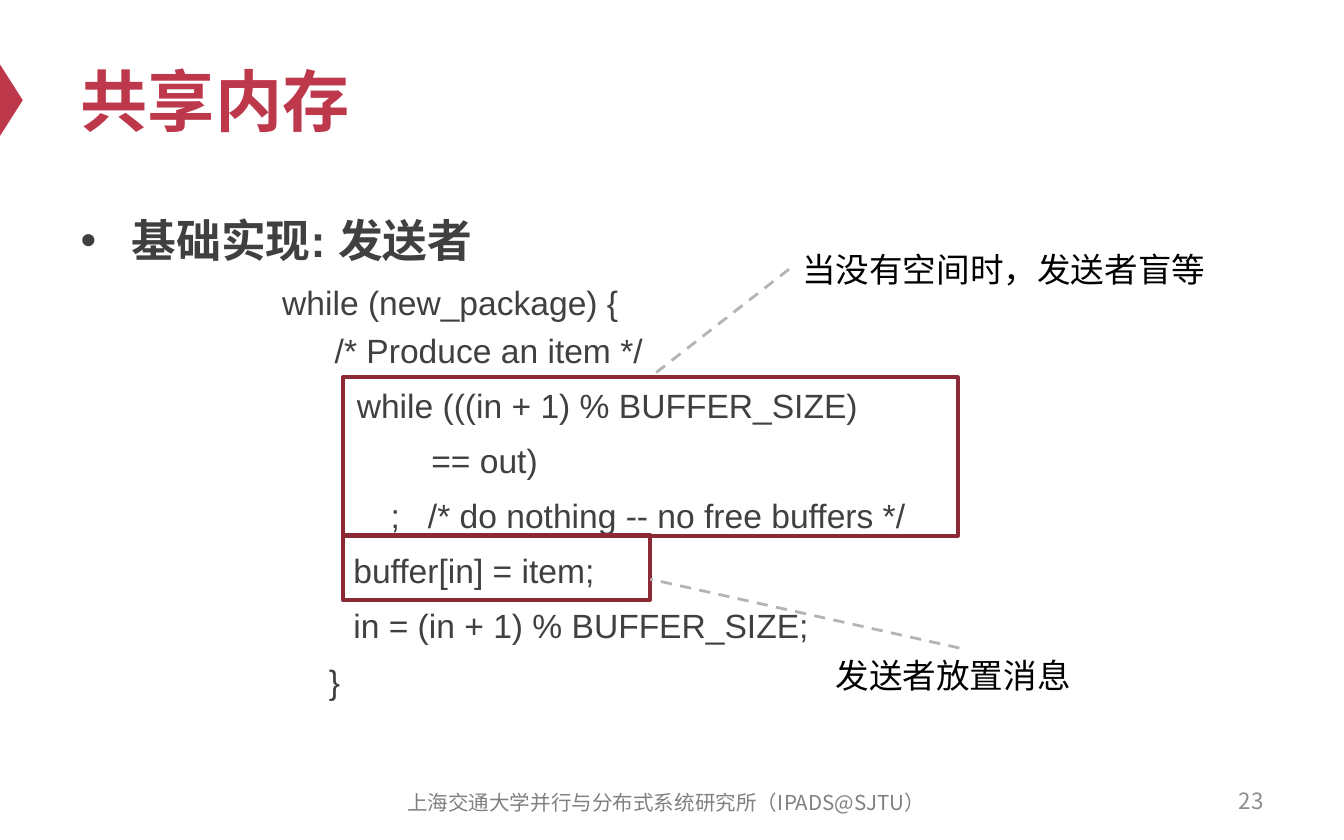
from dataclasses import dataclass
from typing import Any

from lxml.etree import SubElement
from pptx import Presentation
from pptx.dml.color import RGBColor
from pptx.enum.dml import MSO_LINE
from pptx.enum.shapes import MSO_CONNECTOR, MSO_SHAPE
from pptx.enum.text import MSO_ANCHOR, MSO_AUTO_SIZE, PP_ALIGN
from pptx.oxml.ns import qn
from pptx.util import Cm, Pt

COLORS = {
    "accent": "BE384B",
    "frame": "8D2937",
    "code": "404040",
    "callout": "000000",
    "pointer": "B4B4B4",
    "page": "8C8C8C",
    "institute": "808080",
}
CJK_FONT = "Noto Sans CJK SC"
TITLE_FORMAT = {"size": Pt(36), "bold": True, "name": "Arial"}
HEADING_FORMAT = {"size": Pt(24), "bold": True, "name": "Arial"}
CODE_FORMAT = {"size": Pt(18), "bold": False, "name": "Arial"}
CALLOUT_FORMAT = {"size": Pt(18), "name": "Arial"}
PAGE_FORMAT = {"size": Pt(12), "name": CJK_FONT}
INSTITUTE_FORMAT = {"size": Pt(11), "name": CJK_FONT}

CODE = [
    "while (new_package) {\v  /* Produce an item */",
    "        while (((in + 1) % BUFFER_SIZE)",
    "                == out)",
    "\t        ;   /* do nothing -- no free buffers */",
    "\t    buffer[in] = item;",
    "\t    in = (in + 1) % BUFFER_SIZE;",
    "     }",
]


@dataclass
class Area:
    left: float
    top: float
    width: float
    height: float

    def lengths(self) -> tuple:
        return Cm(self.left), Cm(self.top), Cm(self.width), Cm(self.height)


@dataclass
class Note:
    text: str
    area: Area
    color: str
    font: dict
    align: Any = PP_ALIGN.LEFT
    grows: bool = False


CALLOUTS = [
    Note("当没有空间时，发送者盲等", Area(14.91, 4.58, 8.2, 1.02),
         "callout", CALLOUT_FORMAT, grows=True),
    Note("发送者放置消息", Area(15.54, 12.25, 5.18, 1.02),
         "callout", CALLOUT_FORMAT, grows=True),
]
FOOTERS = [
    Note("23", Area(18.21, 14.71, 5.92, 0.84),
         "page", PAGE_FORMAT, PP_ALIGN.RIGHT),
    Note("上海交通大学并行与分布式系统研究所（IPADS@SJTU）", Area(7.09, 14.74, 11, 0.84),
         "institute", INSTITUTE_FORMAT, PP_ALIGN.CENTER),
]
FRAMES = [Area(6.48, 7.13, 11.62, 3), Area(6.48, 10.11, 5.81, 1.23)]


def rgb(color: str) -> RGBColor:
    return RGBColor.from_string(COLORS[color])


def apply(target: Any, values: dict) -> None:
    for name, value in values.items():
        setattr(target, name, value)


def write(paragraph: Any, text: str, font: dict, color: str) -> None:
    paragraph.text = text
    for run in paragraph.runs:
        apply(run.font, font)
        run.font.color.rgb = rgb(color)
        latin = run.font._element.find(qn("a:latin"))
        east_asian = latin.makeelement(qn("a:ea"), {"typeface": CJK_FONT})
        latin.addnext(east_asian)


def place(shape: Any, area: Area) -> None:
    apply(shape, dict(zip(("left", "top", "width", "height"), area.lengths())))


def indent(paragraph: Any, margin: float, first: float, bullet: str = "") -> None:
    properties = paragraph._p.get_or_add_pPr()
    properties.set("marL", str(Cm(margin)))
    properties.set("indent", str(Cm(first)))
    if bullet:
        SubElement(properties, qn("a:buFont"), typeface="Arial")
        SubElement(properties, qn("a:buChar"), char=bullet)
    else:
        SubElement(properties, qn("a:buNone"))


def add_note(slide: Any, note: Note) -> Any:
    box = slide.shapes.add_textbox(*note.area.lengths())
    apply(box.text_frame, {
        "word_wrap": not note.grows,
        "auto_size": MSO_AUTO_SIZE.SHAPE_TO_FIT_TEXT if note.grows else MSO_AUTO_SIZE.NONE,
        "vertical_anchor": MSO_ANCHOR.TOP if note.grows else MSO_ANCHOR.MIDDLE,
    })
    paragraph = box.text_frame.paragraphs[0]
    write(paragraph, note.text, note.font, note.color)
    paragraph.alignment = note.align
    return box


def add_frame(slide: Any, area: Area) -> Any:
    frame = slide.shapes.add_shape(MSO_SHAPE.RECTANGLE, *area.lengths())
    frame.shadow.inherit = False
    frame.fill.background()
    frame.line.color.rgb = rgb("frame")
    frame.line.width = Pt(2)
    return frame


def add_pointer(slide: Any, callout: Any, side: int, x: float, y: float) -> Any:
    pointer = slide.shapes.add_connector(
        MSO_CONNECTOR.STRAIGHT, callout.left, callout.top, Cm(x), Cm(y))
    pointer.begin_connect(callout, side)
    pointer.line.color.rgb = rgb("pointer")
    apply(pointer.line, {"width": Pt(1.5), "dash_style": MSO_LINE.DASH})
    SubElement(pointer._element.spPr, qn("a:effectLst"))
    return pointer


def add_marker(slide: Any) -> None:
    marker = slide.shapes.add_shape(
        MSO_SHAPE.ISOSCELES_TRIANGLE, *Area(-0.46, 1.68, 1.35, 0.43).lengths())
    marker.rotation = 90
    marker.shadow.inherit = False
    marker.fill.solid()
    marker.fill.fore_color.rgb = rgb("accent")
    marker.line.fill.background()


def fill_title(title: Any) -> None:
    place(title, Area(1.27, 0.64, 22.86, 2.49))
    apply(title.text_frame, {"auto_size": MSO_AUTO_SIZE.NONE,
                             "vertical_anchor": MSO_ANCHOR.MIDDLE})
    heading = title.text_frame.paragraphs[0]
    write(heading, "共享内存", TITLE_FORMAT, "accent")
    heading.alignment = PP_ALIGN.LEFT


def fill_body(body: Any) -> None:
    place(body, Area(1.27, 3.7, 22.86, 10.46))
    body.text_frame.auto_size = MSO_AUTO_SIZE.NONE
    heading = body.text_frame.paragraphs[0]
    write(heading, "基础实现: 发送者", HEADING_FORMAT, "code")
    indent(heading, 0.96, -0.96, "•")
    apply(heading, {"line_spacing": 1.2, "space_before": Pt(0)})
    for statement in CODE:
        line = body.text_frame.add_paragraph()
        write(line, statement, CODE_FORMAT, "code")
        indent(line, 4.45, -0.64)
        apply(line, {"level": 3, "line_spacing": 1.2, "space_before": Pt(3.6)})


def main() -> None:
    presentation = Presentation()
    apply(presentation, {"slide_width": Cm(25.4), "slide_height": Cm(15.88)})
    slide = presentation.slides.add_slide(presentation.slide_layouts[1])
    add_marker(slide)
    fill_title(slide.shapes.title)
    fill_body(slide.placeholders[1])
    for footer in FOOTERS:
        add_note(slide, footer)
    waiting_loop, _ = [add_frame(slide, area) for area in FRAMES]
    waiting, placing = [add_note(slide, callout) for callout in CALLOUTS]
    add_pointer(slide, waiting, 1, 12.29, 7.13).end_connect(waiting_loop, 0)
    add_pointer(slide, placing, 0, 12.29, 10.95)
    presentation.save("out.pptx")


if __name__ == "__main__":
    main()
